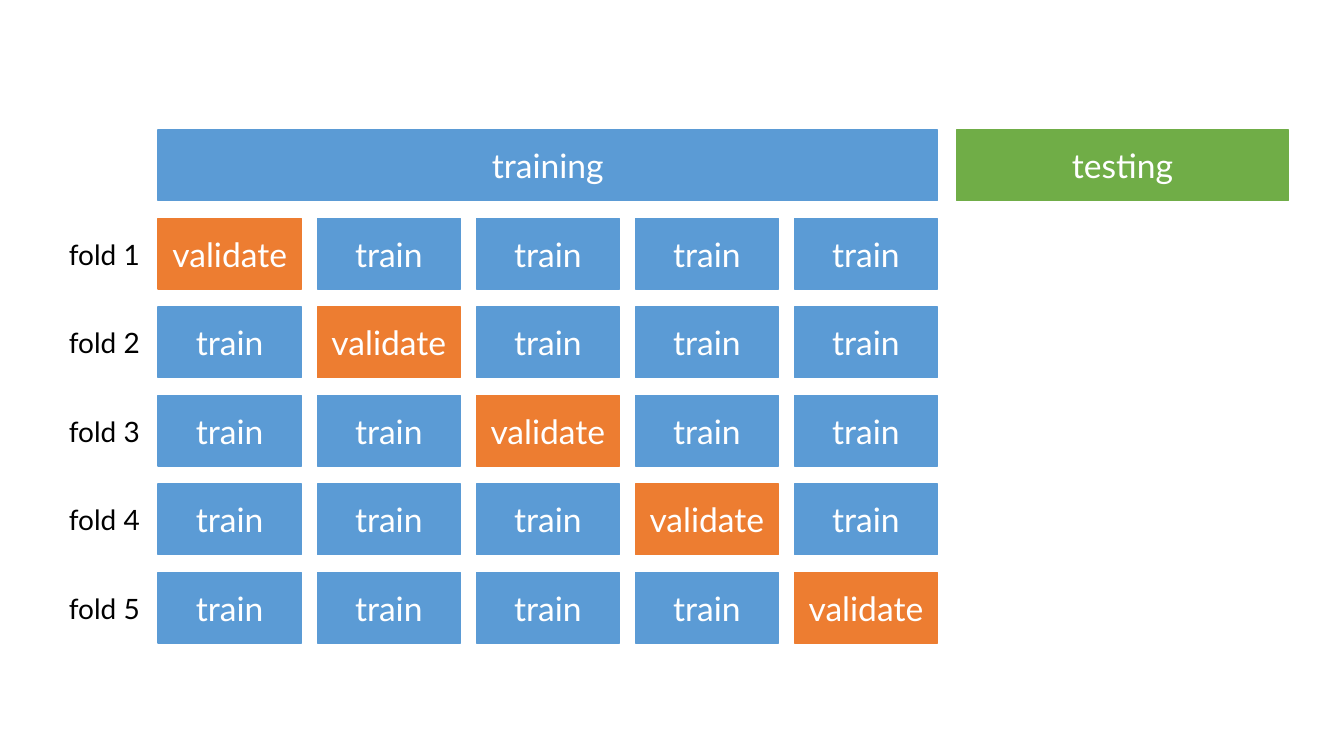
from dataclasses import dataclass

from pptx import Presentation
from pptx.dml.color import RGBColor
from pptx.enum.shapes import MSO_SHAPE
from pptx.enum.text import MSO_ANCHOR, PP_ALIGN
from pptx.util import Pt

RECTANGLE = MSO_SHAPE.RECTANGLE
MIDDLE = MSO_ANCHOR.MIDDLE
CENTER, RIGHT = PP_ALIGN.CENTER, PP_ALIGN.RIGHT

FOLDS = 5
LEFT, TOP = 113, 92.9
CELL_WIDTH, CELL_HEIGHT = 102.2, 50.5
COLUMN_STEP, ROW_STEP = 113.6, 63.2
TRAINING_WIDTH = (FOLDS - 1) * COLUMN_STEP + CELL_WIDTH
TESTING_LEFT, TESTING_WIDTH = 683.3, 236.9
LABEL_LEFT, LABEL_WIDTH = 40.8, 66.2


@dataclass(frozen=True)
class Theme:
    font: str = "Lato"
    train: str = "5B9BD5"
    validate: str = "ED7D31"
    testing: str = "70AD47"
    block_text: str = "FFFFFF"
    label_text: str = "000000"
    block_size: int = 24
    label_size: int = 20
    line_width: int = 1


class SlideBuilder:
    def __init__(self, slide, theme):
        self.slide = slide
        self.theme = theme

    def set_text(self, shape, text, size, color, align, **frame_format):
        frame = shape.text_frame
        frame_format = {"word_wrap": True, "vertical_anchor": MIDDLE, **frame_format}
        for name, value in frame_format.items():
            setattr(frame, name, value)
        para = frame.paragraphs[0]
        para.alignment = align
        span = para.add_run()
        span.text = text
        for name, value in {"name": self.theme.font, "size": Pt(size)}.items():
            setattr(span.font, name, value)
        span.font.color.rgb = RGBColor.from_string(color)

    def block(self, text, left, top, width, color):
        box = self.slide.shapes.add_shape(
            RECTANGLE, Pt(left), Pt(top), Pt(width), Pt(CELL_HEIGHT))
        box.shadow.inherit = False
        box.fill.solid()
        for paint in (box.fill.fore_color, box.line.color):
            paint.rgb = RGBColor.from_string(color)
        box.line.width = Pt(self.theme.line_width)
        self.set_text(box, text, self.theme.block_size, self.theme.block_text, CENTER)

    def label(self, text, left, top, width):
        box = self.slide.shapes.add_textbox(
            Pt(left), Pt(top), Pt(width), Pt(CELL_HEIGHT))
        self.set_text(box, text, self.theme.label_size, self.theme.label_text, RIGHT,
                      margin_left=0)


def main():
    deck = Presentation()
    deck.slide_width, deck.slide_height = Pt(960), Pt(540)
    blank_layout = deck.slide_layouts[6]
    theme = Theme()
    page = SlideBuilder(deck.slides.add_slide(blank_layout), theme)

    page.block("training", LEFT, TOP, TRAINING_WIDTH, theme.train)
    page.block("testing", TESTING_LEFT, TOP, TESTING_WIDTH, theme.testing)
    for fold in range(FOLDS):
        top = TOP + (fold + 1) * ROW_STEP
        page.label(f"fold {fold + 1}", LABEL_LEFT, top, LABEL_WIDTH)
        for column in range(FOLDS):
            role = "validate" if column == fold else "train"
            page.block(role, LEFT + column * COLUMN_STEP, top, CELL_WIDTH,
                       getattr(theme, role))

    deck.save("out.pptx")


if __name__ == "__main__":
    main()
